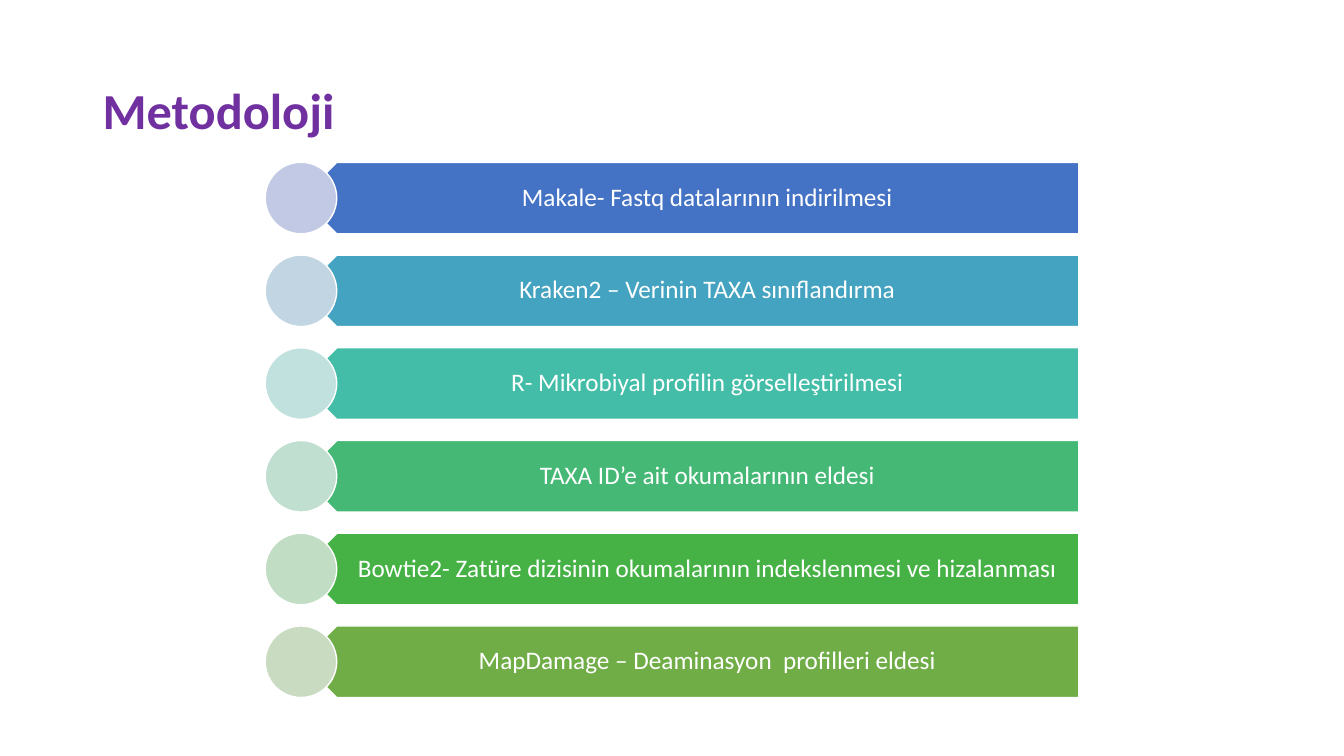
from pptx import Presentation
from pptx import util as u
from pptx.dml.color import RGBColor
from pptx.enum import shapes, text

FONT = "Calibri"
WHITE = "FFFFFF"
PURPLE = "7030A0"

# Step grid, in inches
FIRST_ROW, ROW_PITCH, ROW_HEIGHT = 1.61, 0.92, 0.71
CIRCLE_LEFT = 2.63
BAR_LEFT = CIRCLE_LEFT + ROW_HEIGHT / 2
BAR_RIGHT = 10.7
LABEL_LEFT = 3.16

# Label, bar colour, circle colour
STEPS = [
    ("Makale- Fastq datalarının indirilmesi", "4472C4", "C1C9E4"),
    ("Kraken2 – Verinin TAXA sınıflandırma", "44A3C0", "C1D6E2"),
    ("R- Mikrobiyal profilin görselleştirilmesi", "43BDA7", "C1E1DF"),
    ("TAXA ID’e ait okumalarının eldesi", "44B874", "C1DFD1"),
    ("Bowtie2- Zatüre dizisinin okumalarının indekslenmesi ve hizalanması",
     "46B246", "C1DDC4"),
    ("MapDamage – Deaminasyon  profilleri eldesi", "70AD47", "C9DBC1"),
]


def color(value):
    return RGBColor.from_string(value)


def inches(*lengths):
    return [u.Inches(length) for length in lengths]


def add_filled_shape(slide, kind, box, fill):
    shape = slide.shapes.add_shape(kind, *inches(*box))
    shape.shadow.inherit = False
    shape.fill.solid()
    shape.fill.fore_color.rgb = color(fill)
    shape.line.color.rgb = color(WHITE)
    shape.line.width = u.Pt(1)
    return shape


def add_label(slide, words, box, size, ink, align, margins, bold=False):
    frame = slide.shapes.add_textbox(*inches(*box)).text_frame
    frame.word_wrap = True
    frame.vertical_anchor = text.MSO_ANCHOR.MIDDLE
    (frame.margin_left, frame.margin_top,
     frame.margin_right, frame.margin_bottom) = inches(*margins)
    frame.text = words
    paragraph = frame.paragraphs[0]
    paragraph.alignment = align
    paragraph.line_spacing = 0.9
    font = paragraph.runs[0].font
    font.name, font.size, font.bold = FONT, u.Pt(size), bold
    font.color.rgb = color(ink)


def add_step(slide, row, words, bar_fill, circle_fill):
    top = FIRST_ROW + row * ROW_PITCH
    # Bar pointing left, with its label upright on top
    bar = add_filled_shape(slide, shapes.MSO_SHAPE.PENTAGON,
                           (BAR_LEFT, top, BAR_RIGHT - BAR_LEFT, ROW_HEIGHT), bar_fill)
    bar.rotation = 180
    add_label(slide, words, (LABEL_LEFT, top, BAR_RIGHT - LABEL_LEFT, ROW_HEIGHT),
              18, WHITE, text.PP_ALIGN.CENTER, (0.31, 0.07, 0.14, 0.07))
    # Circle over the tip
    add_filled_shape(slide, shapes.MSO_SHAPE.OVAL,
                     (CIRCLE_LEFT, top, ROW_HEIGHT, ROW_HEIGHT), circle_fill)


def main():
    presentation = Presentation()
    presentation.slide_width, presentation.slide_height = inches(13.33, 7.5)
    slide = presentation.slides.add_slide(presentation.slide_layouts[6])

    # Title
    add_label(slide, "Metodoloji", (0.92, 0.4, 11.5, 1.45), 36, PURPLE,
              text.PP_ALIGN.LEFT, (0.1, 0.05, 0.1, 0.05), bold=True)

    # Steps
    for row, step in enumerate(STEPS):
        add_step(slide, row, *step)

    presentation.save("out.pptx")


if __name__ == "__main__":
    main()
